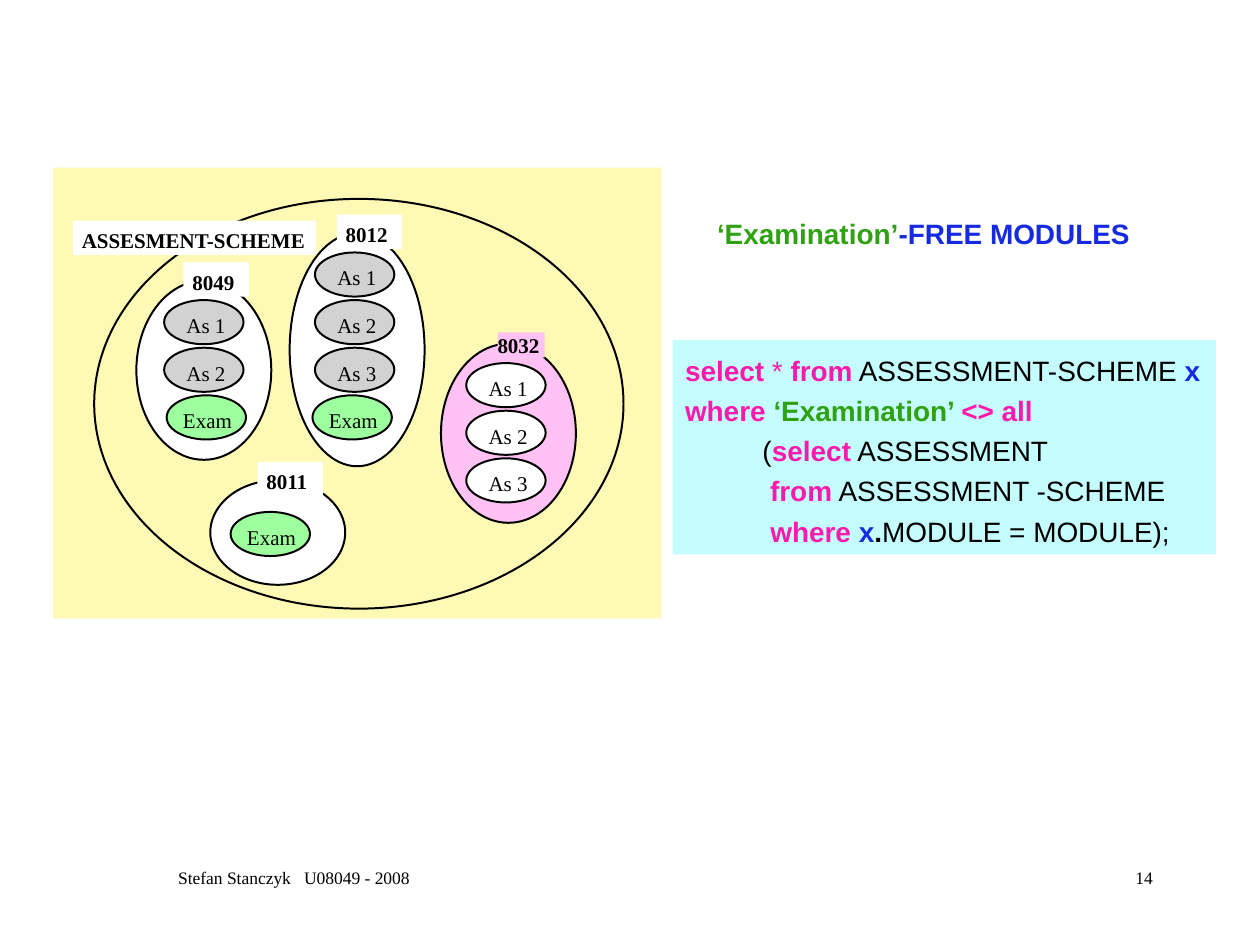
from pptx import Presentation
from pptx.dml.color import RGBColor
from pptx.enum.shapes import MSO_SHAPE
from pptx.enum.text import MSO_ANCHOR, MSO_AUTO_SIZE, PP_ALIGN
from pptx.util import Cm, Pt

RECT, OVAL = MSO_SHAPE.RECTANGLE, MSO_SHAPE.OVAL
LEFT, RIGHT, CENTER = PP_ALIGN.LEFT, PP_ALIGN.RIGHT, PP_ALIGN.CENTER
TOP, NO_FIT = MSO_ANCHOR.TOP, MSO_AUTO_SIZE.NONE

BLACK = RGBColor(0x00, 0x00, 0x00)
WHITE = RGBColor(0xFF, 0xFF, 0xFF)
CREAM = RGBColor(0xFF, 0xF9, 0xB6)
GREY = RGBColor(0xD2, 0xD2, 0xD2)
MINT = RGBColor(0x9E, 0xFF, 0x9E)
PINK = RGBColor(0xFF, 0xC2, 0xF2)
AQUA = RGBColor(0xC5, 0xFD, 0xFF)
MAGENTA = RGBColor(0xFA, 0x1B, 0xAC)
GREEN = RGBColor(0x2F, 0xA1, 0x13)
BLUE = RGBColor(0x16, 0x2A, 0xE1)

SERIF, SANS = "Times New Roman", "Arial"
MODULE_W = 2.72
ITEM_W, ITEM_H, ITEM_PITCH = 1.6, 0.89, 0.96
TAG_H, LABEL_H = 0.69, 0.51
NUMBER_W, EXAM_W, PART_W = 0.95, 1.08, 0.88
CODE_LINES = [
    [("select", MAGENTA, True), (" * ", MAGENTA, False), ("from", MAGENTA, True),
     (" ASSESSMENT-SCHEME ", BLACK, False), ("x", BLUE, True)],
    [("where ", MAGENTA, True), ("‘Examination’ ", GREEN, True),
     ("<> all", MAGENTA, True)],
    [("          (", BLACK, False), ("select", MAGENTA, True),
     (" ASSESSMENT", BLACK, False)],
    [("           from", MAGENTA, True), (" ASSESSMENT -SCHEME", BLACK, False)],
    [("           ", BLACK, False), ("where ", MAGENTA, True), ("x", BLUE, True),
     (".", BLACK, True), ("MODULE = MODULE);", BLACK, False)],
]


def add_shape(shapes, kind, x, y, w, h, fill=None, outlined=False):
    sp = shapes.add_shape(kind, Cm(x), Cm(y), Cm(w), Cm(h))
    sp.shadow.inherit = False
    if fill is None:
        sp.fill.background()
    else:
        sp.fill.solid()
        sp.fill.fore_color.rgb = fill
    if outlined:
        sp.line.color.rgb = BLACK
        sp.line.width = Pt(1.13)
    else:
        sp.line.fill.background()
    return sp


def add_run(p, text, font, size, color=BLACK, bold=False):
    r = p.add_run()
    r.text = text
    r.font.name, r.font.size, r.font.bold = font, Pt(size), bold
    r.font.color.rgb = color


def add_label(shapes, x, y, w, text, bold=False, fill=None):
    """Tight one-line text without margins."""
    sp = shapes.add_textbox(Cm(x), Cm(y), Cm(w), Cm(LABEL_H))
    if fill is not None:
        sp.fill.solid()
        sp.fill.fore_color.rgb = fill
    tf = sp.text_frame
    tf.word_wrap = False
    tf.margin_left = tf.margin_right = tf.margin_top = tf.margin_bottom = 0
    p = tf.paragraphs[0]
    p.alignment = LEFT
    add_run(p, text, SERIF, 12, bold=bold)


def add_tag(shapes, x, y, w, label_w, text):
    """White plate carrying a bold name."""
    add_shape(shapes, RECT, x, y, w, TAG_H, WHITE)
    add_label(shapes, x + 0.18, y + 0.14, label_w, text, bold=True)


def add_module(slide, x, y, h, name, items, first=0.39, dx=0.51, exam_dx=0.51,
               fill=WHITE, item_fill=GREY):
    """Oval for one module, with its assessments stacked inside."""
    shapes = slide.shapes.add_group_shape().shapes
    add_shape(shapes, OVAL, x, y, MODULE_W, h, fill, outlined=True)
    for i, item in enumerate(items):
        is_exam = item == "Exam"
        color = MINT if is_exam else item_fill
        left = x + (exam_dx if is_exam else dx)
        top = y + first + i * ITEM_PITCH
        add_shape(shapes, OVAL, left, top, ITEM_W, ITEM_H, color, outlined=True)
        inset, w = (0.33, EXAM_W) if is_exam else (0.45, PART_W)
        add_label(shapes, left + inset, top + 0.25, w, item)
    if fill == WHITE:
        add_tag(shapes, x + 0.95, y - 0.37, 1.32, NUMBER_W, name)
    else:
        add_label(shapes, x + 1.14, y - 0.23, NUMBER_W, name, bold=True, fill=fill)


def add_scheme_diagram(slide, x, y, w, h):
    add_shape(slide.shapes, RECT, x, y, w, h, CREAM)
    add_shape(slide.shapes, OVAL, x + 0.83, y + 0.63, w - 1.6, h - 0.83, outlined=True)
    add_module(slide, x + 1.68, y + 2.28, 3.61, "8049", ["As 1", "As 2", "Exam"],
               dx=0.56, exam_dx=0.61)
    add_module(slide, x + 3.17, y + 6.3, 2.11, "8011", ["Exam"],
               first=0.64, exam_dx=0.41)
    add_module(slide, x + 4.77, y + 1.32, 4.7, "8012",
               ["As 1", "As 2", "As 3", "Exam"], exam_dx=0.46)
    add_tag(slide.shapes, x + 0.4, y + 1.07, 4.9, 4.55, "ASSESMENT-SCHEME")
    add_module(slide, x + 7.82, y + 3.55, 3.61, "8032", ["As 1", "As 2", "As 3"],
               fill=PINK, item_fill=WHITE)


def set_title(slide, x, y, w, h):
    sp = slide.shapes.title
    sp.left, sp.top, sp.width, sp.height = Cm(x), Cm(y), Cm(w), Cm(h)
    tf = sp.text_frame
    tf.word_wrap, tf.auto_size, tf.vertical_anchor = False, NO_FIT, TOP
    p = tf.paragraphs[0]
    p.alignment = LEFT
    add_run(p, "‘Examination’", SANS, 16, GREEN, True)
    add_run(p, "-FREE MODULES", SANS, 16, BLUE, True)


def add_query(slide, x, y, w, h):
    tf = add_shape(slide.shapes, RECT, x, y, w, h, AQUA).text_frame
    tf.word_wrap, tf.vertical_anchor = False, TOP
    for i, line in enumerate(CODE_LINES):
        p = tf.add_paragraph() if i else tf.paragraphs[0]
        p.alignment, p.line_spacing = LEFT, 1.2
        for text, color, bold in line:
            add_run(p, text, SANS, 16, color, bold)


def add_footer(slide, x, y, w, h, text, align):
    tf = slide.shapes.add_textbox(Cm(x), Cm(y), Cm(w), Cm(h)).text_frame
    tf.word_wrap = True
    p = tf.paragraphs[0]
    p.alignment = align
    add_run(p, text, SERIF, 10)


def main():
    prs = Presentation()
    prs.slide_width, prs.slide_height = Cm(25.4), Cm(19.05)
    slide = prs.slides.add_slide(prs.slide_layouts[5])
    set_title(slide, 14.2, 4.24, 8.99, 0.94)
    add_scheme_diagram(slide, 1.07, 3.38, 12.27, 9.09)
    add_query(slide, 13.56, 6.86, 10.95, 4.32)
    add_footer(slide, 1.9, 17.35, 8.05, 1.27, "Stefan Stanczyk   U08049 - 2008", CENTER)
    add_footer(slide, 18.21, 17.35, 5.28, 1.27, "14", RIGHT)
    prs.save("out.pptx")


if __name__ == "__main__":
    main()
